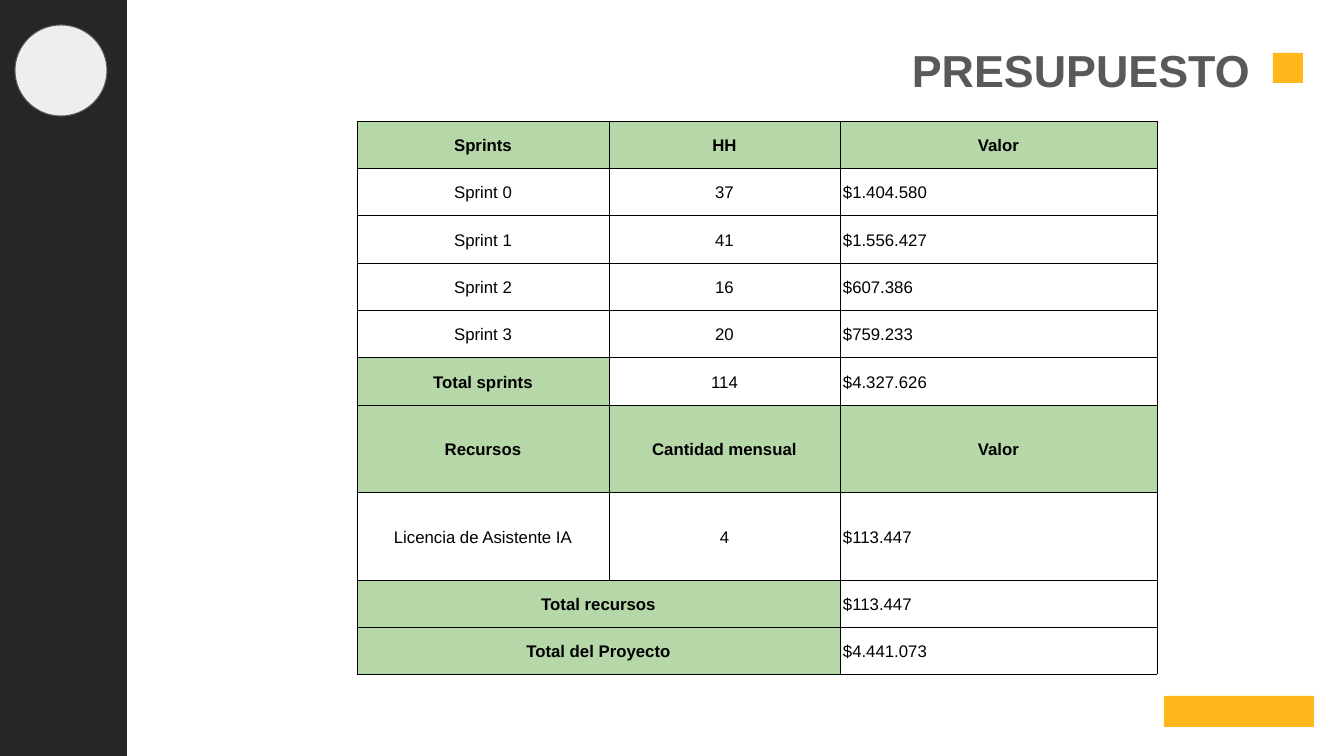
from lxml.etree import SubElement
from pptx import Presentation
from pptx.dml.color import RGBColor
from pptx.enum.shapes import MSO_SHAPE as Shape
from pptx.enum.text import MSO_ANCHOR as Anchor, MSO_AUTO_SIZE as AutoSize, PP_ALIGN as Align
from pptx.oxml.ns import qn
from pptx.util import Pt

# Content
TITLE = "PRESUPUESTO"
# Each row: height in px, number of green cells from the left, texts (None joins the cell to its left)
BUDGET = [
    (47, 3, ("Sprints", "HH", "Valor")),
    (47, 0, ("Sprint 0", "37", "$1.404.580")),
    (48, 0, ("Sprint 1", "41", "$1.556.427")),
    (47, 0, ("Sprint 2", "16", "$607.386")),
    (47, 0, ("Sprint 3", "20", "$759.233")),
    (48, 1, ("Total sprints", "114", "$4.327.626")),
    (87, 3, ("Recursos", "Cantidad mensual", "Valor")),
    (88, 0, ("Licencia de Asistente IA", "4", "$113.447")),
    (47, 2, ("Total recursos", None, "$113.447")),
    (47, 2, ("Total del Proyecto", None, "$4.441.073")),
]
COLUMN_WIDTHS = (252, 231, 317)
BUDGET_LEFT, BUDGET_TOP = 357, 121

# Style
FONT = "Arial"
BLACK = RGBColor(0x00, 0x00, 0x00)
CHARCOAL = RGBColor(0x26, 0x26, 0x26)
GREY = RGBColor(0x59, 0x59, 0x59)
PALE_GREY = RGBColor(0xEE, 0xEE, 0xEE)
AMBER = RGBColor(0xFF, 0xB7, 0x1B)
GREEN = RGBColor(0xB6, 0xD7, 0xA8)

SLIDE_WIDTH, SLIDE_HEIGHT = 1344, 756
EMU_PER_PX = 12192000 / SLIDE_WIDTH


def px(length):
    return round(length * EMU_PER_PX)


def write(frame, text, size=12, color=BLACK, bold=False, align=Align.CENTER, spacing=1.15):
    line = frame.paragraphs[0]
    line.alignment = align
    line.line_spacing = spacing
    line.space_before = Pt(0)
    run = line.add_run()
    run.text = text
    run.font.name = FONT
    run.font.size = Pt(size)
    run.font.bold = bold
    run.font.color.rgb = color


def add_block(slide, kind, box, fill, outline=None):
    block = slide.shapes.add_shape(kind, *map(px, box))
    block.shadow.inherit = False
    block.fill.solid()
    block.fill.fore_color.rgb = fill
    if outline is None:
        block.line.fill.background()
    else:
        block.line.color.rgb = outline
        block.line.width = Pt(0.75)


def add_borders(cell, color=BLACK, width=0.6):
    properties = cell._tc.get_or_add_tcPr()
    for side in ("a:lnL", "a:lnR", "a:lnT", "a:lnB"):
        border = SubElement(properties, qn(side), w=str(Pt(width)))
        SubElement(SubElement(border, qn("a:solidFill")), qn("a:srgbClr"), val=str(color))


def add_budget(slide):
    heights = [height for height, _, _ in BUDGET]
    table = slide.shapes.add_table(
        len(BUDGET), len(COLUMN_WIDTHS), px(BUDGET_LEFT), px(BUDGET_TOP),
        px(sum(COLUMN_WIDTHS)), px(sum(heights))).table
    table.first_row = table.horz_banding = False
    for column, width in zip(table.columns, COLUMN_WIDTHS):
        column.width = px(width)
    for r, (height, green_cells, texts) in enumerate(BUDGET):
        table.rows[r].height = px(height)
        for c, text in enumerate(texts):
            cell = table.cell(r, c)
            is_green = c < green_cells
            add_borders(cell)
            if is_green:
                cell.fill.solid()
                cell.fill.fore_color.rgb = GREEN
            else:
                cell.fill.background()
            if text is None:
                table.cell(r, c - 1).merge(cell)
                continue
            cell.vertical_anchor = Anchor.MIDDLE
            cell.margin_left = cell.margin_right = px(3)
            cell.margin_top = cell.margin_bottom = px(2)
            is_amount = text.startswith("$")
            write(cell.text_frame, text, bold=is_green,
                  align=Align.LEFT if is_amount else Align.CENTER)


def main():
    deck = Presentation()
    deck.slide_width, deck.slide_height = px(SLIDE_WIDTH), px(SLIDE_HEIGHT)
    slide = deck.slides.add_slide(deck.slide_layouts[5])

    # Side band, badge and title marker
    add_block(slide, Shape.RECTANGLE, (0, 0, 127, SLIDE_HEIGHT), CHARCOAL)
    add_block(slide, Shape.RECTANGLE, (1273, 53, 30, 30), AMBER)
    add_block(slide, Shape.OVAL, (15, 25, 92, 91), PALE_GREY, outline=GREY)

    # Title
    title = slide.shapes.title
    title.left, title.top, title.width, title.height = map(px, (599, 44, 661, 51))
    frame = title.text_frame
    frame.auto_size = AutoSize.NONE
    frame.word_wrap = True
    frame.vertical_anchor = Anchor.TOP
    frame.margin_left = frame.margin_right = px(10)
    frame.margin_top = frame.margin_bottom = px(5)
    write(frame, TITLE, size=32, color=GREY, bold=True, align=Align.RIGHT, spacing=0.9)

    # Budget table
    add_budget(slide)

    # Plain block in the bottom corner
    add_block(slide, Shape.RECTANGLE, (1164, 696, 150, 31), AMBER)

    deck.save("out.pptx")


if __name__ == "__main__":
    main()
